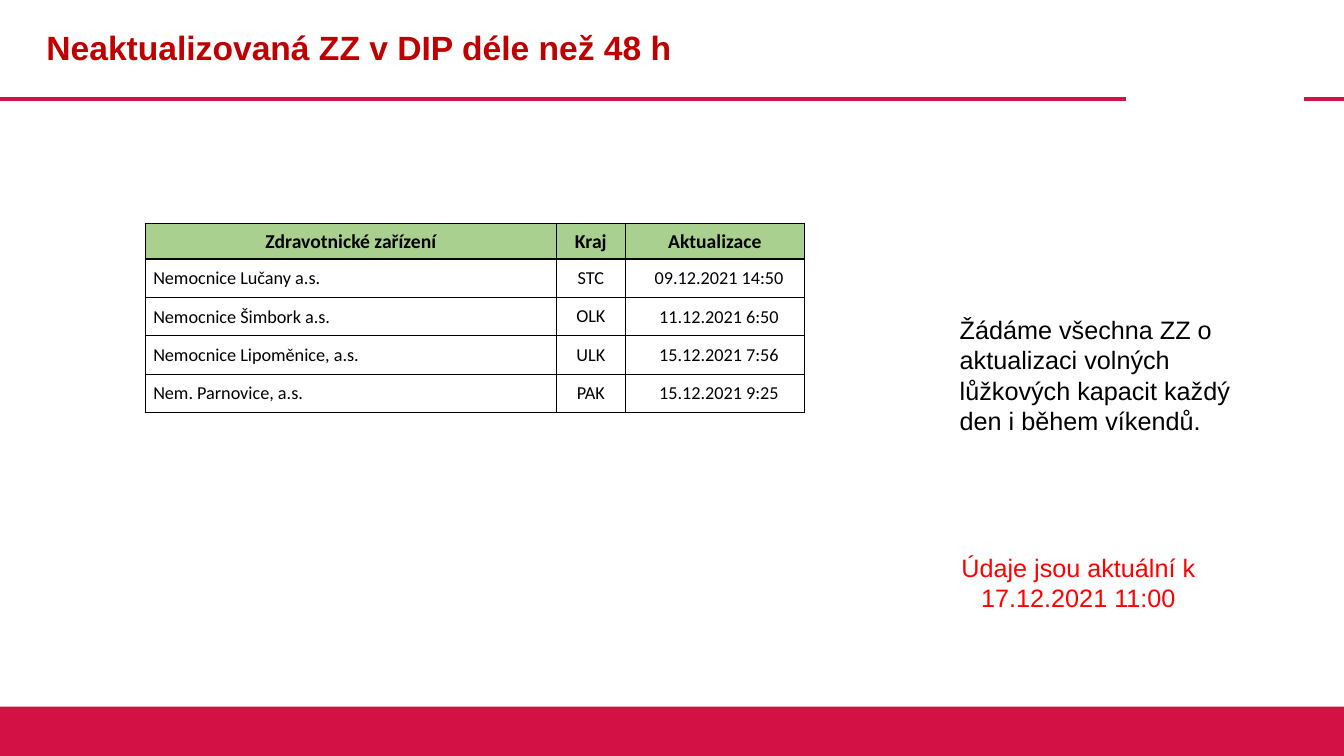
from lxml import etree
from pptx import Presentation
from pptx.dml.color import RGBColor
from pptx.enum import shapes, text
from pptx.oxml import ns
from pptx.util import Inches, Pt

COLORS = {
    "brand": "D31145",
    "title": "C00000",
    "notice": "FF0000",
    "text": "000000",
    "header": "A9D08E",
    "body": "FFFFFF",
}
HEADER = ("Zdravotnické zařízení", "Kraj", "Aktualizace")
FACILITIES = [
    ("Nemocnice Lučany a.s.", "STC", "09.12.2021 14:50"),
    ("Nemocnice Šimbork a.s.", "OLK", "11.12.2021 6:50"),
    ("Nemocnice Lipoměnice, a.s.", "ULK", "15.12.2021 7:56"),
    ("Nem. Parnovice, a.s.", "PAK", "15.12.2021 9:25"),
]
COLUMN_WIDTHS = (4.08, 0.68, 1.78)
HEADER_MARGINS = (0.01, 0.01, 0.01, 0)
BODY_MARGINS = ((0.08, 0.01, 0.01, 0), (0.01, 0.08, 0.01, 0.08), (0.09, 0.01, 0.01, 0))


def color(name):
    return RGBColor.from_string(COLORS[name])


def write(text_frame, words, size, color_name, font="Arial", bold=False, align=text.PP_ALIGN.LEFT):
    text_frame.text = words
    paragraph = text_frame.paragraphs[0]
    paragraph.alignment = align
    for run in paragraph.runs:
        run.font.name = font
        run.font.size = Pt(size)
        run.font.bold = bold
        run.font.color.rgb = color(color_name)


def add_rule(slide, left, right, top):
    rule = slide.shapes.add_connector(
        shapes.MSO_CONNECTOR.STRAIGHT, Inches(left), Inches(top), Inches(right), Inches(top))
    rule.line.color.rgb = color("brand")
    rule.line.width = Pt(3)
    etree.SubElement(rule._element.spPr, ns.qn("a:effectLst"))


def add_frame(slide, width, height):
    rule_top = 0.98
    add_rule(slide, 0, 11.17, rule_top)
    add_rule(slide, 12.93, width, rule_top)
    footer_height = 0.49
    footer = slide.shapes.add_shape(
        shapes.MSO_SHAPE.RECTANGLE, 0, Inches(height - footer_height),
        Inches(width), Inches(footer_height))
    footer.shadow.inherit = False
    footer.fill.solid()
    footer.fill.fore_color.rgb = color("brand")
    footer.line.fill.background()


def format_title(slide, left, top, width, height):
    title = slide.shapes.title
    title.left, title.top = Inches(left), Inches(top)
    title.width, title.height = Inches(width), Inches(height)
    write(title.text_frame, "Neaktualizovaná ZZ v DIP déle než 48 h", 24, "title", bold=True)
    title.text_frame.vertical_anchor = text.MSO_ANCHOR.MIDDLE
    title.text_frame.paragraphs[0].line_spacing = 0.9


def add_note(slide, left, top, width, height, words, color_name, align):
    note = slide.shapes.add_textbox(Inches(left), Inches(top), Inches(width), Inches(height))
    note.text_frame.word_wrap = True
    write(note.text_frame, words, 18, color_name, align=align)


def add_borders(cell, top, bottom):
    properties = cell._tc.get_or_add_tcPr()
    for side, width in (("L", 1), ("R", 1), ("T", top), ("B", bottom)):
        border = etree.SubElement(properties, ns.qn(f"a:ln{side}"), w=str(Pt(width)))
        fill = etree.SubElement(border, ns.qn("a:solidFill"))
        etree.SubElement(fill, ns.qn("a:srgbClr"), val=COLORS["text"])


def add_facilities(slide, left, top):
    rows = [HEADER] + FACILITIES
    heights = [0.35] + [0.38] * len(FACILITIES)
    frame = slide.shapes.add_table(
        len(rows), len(HEADER), Inches(left), Inches(top),
        Inches(sum(COLUMN_WIDTHS)), Inches(sum(heights)))
    table = frame.table
    for column, width in zip(table.columns, COLUMN_WIDTHS):
        column.width = Inches(width)
    for row_index, values in enumerate(rows):
        table.rows[row_index].height = Inches(heights[row_index])
        is_header = row_index == 0
        top_width = 1 if row_index < 2 else 0.5
        bottom_width = 1 if row_index in (0, len(rows) - 1) else 0.5
        for column_index, value in enumerate(values):
            cell = table.cell(row_index, column_index)
            margins = HEADER_MARGINS if is_header else BODY_MARGINS[column_index]
            (cell.margin_left, cell.margin_top,
             cell.margin_right, cell.margin_bottom) = map(Inches, margins)
            cell.vertical_anchor = text.MSO_ANCHOR.MIDDLE
            add_borders(cell, top_width, bottom_width)
            cell.fill.solid()
            cell.fill.fore_color.rgb = color("header" if is_header else "body")
            centered = is_header or column_index > 0
            write(cell.text_frame, value, 14 if is_header else 13, "text", "Calibri", is_header,
                  text.PP_ALIGN.CENTER if centered else text.PP_ALIGN.LEFT)


def main():
    width, height = 13.33, 7.5
    presentation = Presentation()
    presentation.slide_width, presentation.slide_height = Inches(width), Inches(height)
    slide = presentation.slides.add_slide(presentation.slide_layouts.get_by_name("Title Only"))
    add_frame(slide, width, height)
    format_title(slide, 0.36, 0, 10.81, 0.98)
    add_note(slide, 9.42, 5.43, 2.55, 0.71, "Údaje jsou aktuální k 17.12.2021 11:00",
             "notice", text.PP_ALIGN.CENTER)
    add_note(slide, 9.42, 3.07, 2.99, 1.31,
             "Žádáme všechna ZZ o aktualizaci volných lůžkových kapacit každý den i během víkendů.",
             "text", text.PP_ALIGN.LEFT)
    add_facilities(slide, 1.44, 2.22)
    presentation.save("out.pptx")


if __name__ == "__main__":
    main()
